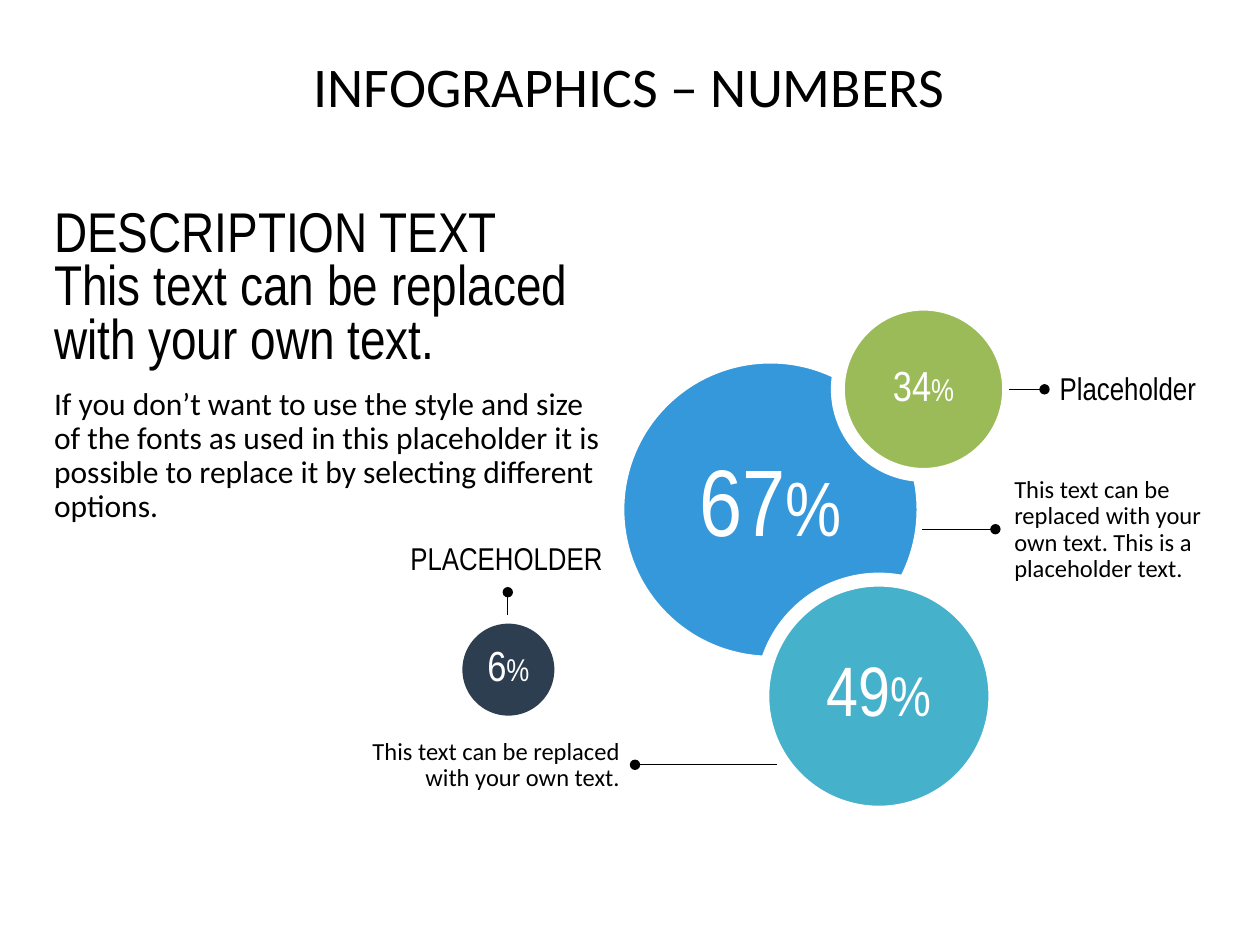
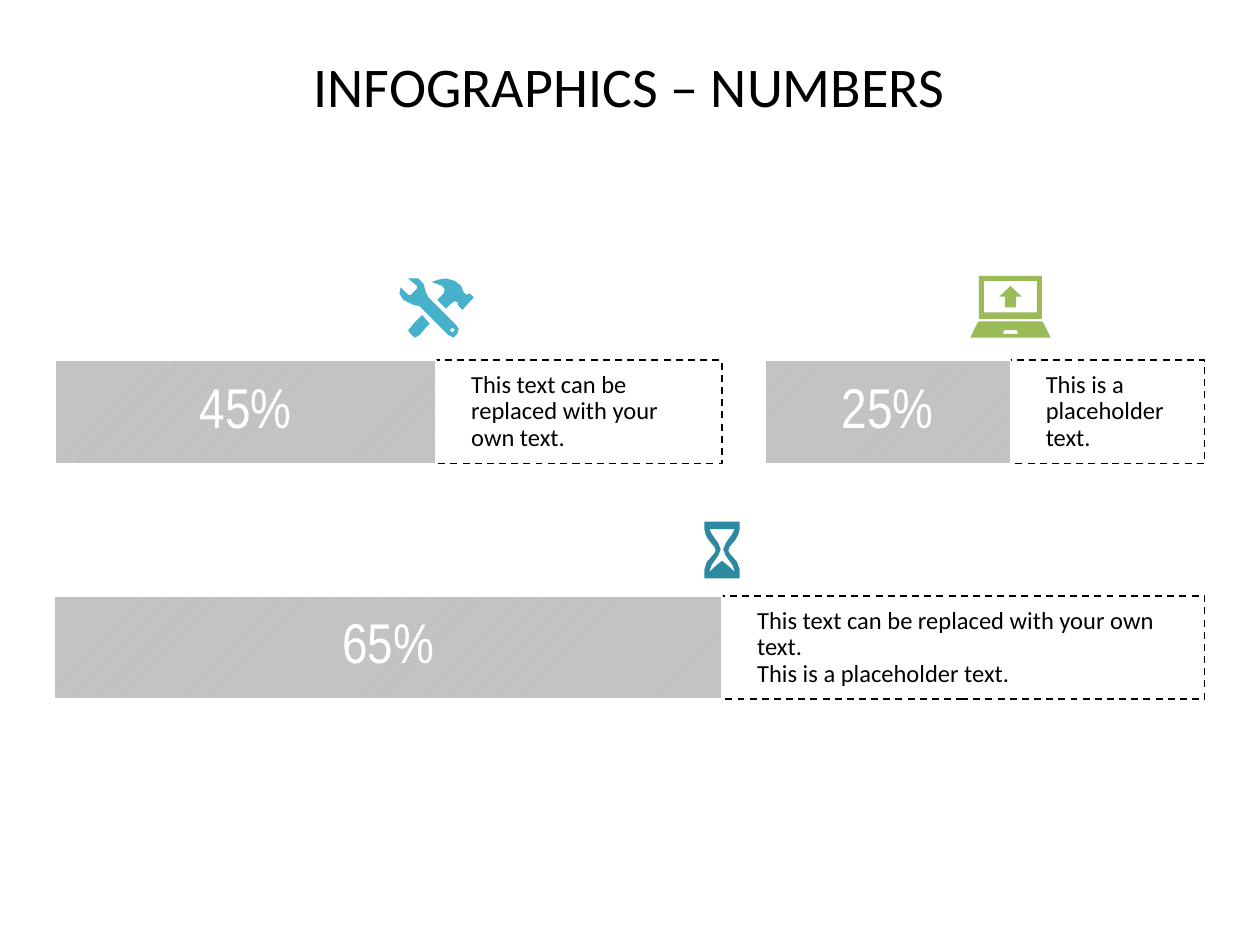
from typing import NamedTuple

from lxml.etree import SubElement
from pptx import Presentation
from pptx.dml.color import RGBColor
from pptx.enum.dml import MSO_LINE, MSO_PATTERN
from pptx.enum.shapes import MSO_CONNECTOR, MSO_SHAPE
from pptx.enum.text import MSO_ANCHOR, PP_ALIGN
from pptx.oxml.ns import qn
from pptx.util import Inches, Pt

# One grid cell is a hundredth of the slide's width, a seventy-fifth of its height.
CELL = Inches(0.1)
COLUMNS, ROWS = 100, 75
LEFT, RIGHT = 4.3, 95.6
BAR_HEIGHT = 8.2
ICON_UNIT = CELL / 10

BLACK, WHITE = "000000", "FFFFFF"
BLUE, GREEN, CYAN, TEAL, NAVY = "3498DB", "9BBB59", "45B1CB", "2D899F", "2C3E50"
HATCH_FRONT, HATCH_BACK = "D9D9D9", "BFBFBF"
HEADING_FONT, BODY_FONT = "Arial Narrow", "Calibri"

Point = tuple[float, float]
Contour = list[Point]


class Box(NamedTuple):
    left: float
    top: float
    width: float
    height: float


class TextStyle(NamedTuple):
    font: str
    size: float
    color: str = BLACK
    align: PP_ALIGN = PP_ALIGN.LEFT
    spacing: float = 0.9
    after: float = 10


class Frame(NamedTuple):
    """Vertical anchor and left, top, right, bottom insets in cells."""
    anchor: MSO_ANCHOR = MSO_ANCHOR.TOP
    insets: tuple[float, float, float, float] = (0, 0, 0, 0)


class Bubble(NamedTuple):
    box: Box
    color: str
    number: str
    number_size: float
    percent_size: float
    outlined: bool = True


class Callout(NamedTuple):
    start: Point
    end: Point
    box: Box
    text: str
    style: TextStyle
    frame: Frame


class Bar(NamedTuple):
    left: float
    split: float
    right: float
    top: float
    value: str
    note: str
    icon: list[Contour]
    icon_color: str


TITLE = TextStyle(BODY_FONT, 32, align=PP_ALIGN.CENTER, after=0)
LEAD = TextStyle(HEADING_FONT, 32, spacing=0.8)
BODY = TextStyle(BODY_FONT, 18)
LABEL = TextStyle(HEADING_FONT, 18)
NOTE = TextStyle(BODY_FONT, 14)
BAR_VALUE = TextStyle(HEADING_FONT, 32, WHITE, PP_ALIGN.CENTER, 0.8, 0)

PLAIN = Frame()
BUBBLE_FRAME = Frame(MSO_ANCHOR.MIDDLE, (0.4, 0.4, 0.4, 0.4))
FROM_LEFT = Frame(MSO_ANCHOR.MIDDLE, (1.2, 0, 0, 0))
FROM_RIGHT = Frame(MSO_ANCHOR.MIDDLE, (0, 0, 1.2, 0))
FROM_BELOW = Frame(MSO_ANCHOR.BOTTOM, (0, 0, 0, 1.2))
BAR_FRAME = Frame(MSO_ANCHOR.MIDDLE, (1, 0.5, 1, 0.5))
NOTE_FRAME = Frame(MSO_ANCHOR.MIDDLE, (2.8, 0, 2.8, 0))


def mirrored(half: Contour) -> Contour:
    """Close a right-hand profile with its reflection in the vertical axis."""
    return half + [(-x, y) for x, y in reversed(half)]


# Icon points are hundredths of an inch from the bar's split and top edge.
TOOLS = [
    [(-28, -58), (-22, -52), (-20, -52), (-15, -57), (-15, -59), (-21, -64),
     (-22, -65), (-14, -65), (-10, -61), (-8, -54), (-6, -50), (16, -28),
     (18, -25), (17, -21), (14, -18), (10, -20), (5, -25), (-13, -43),
     (-18, -44), (-26, -48), (-29, -53)],
    [(15, -24), (13, -26), (11, -24), (13, -22)],
    [(1, -48), (5, -52), (6, -53), (7, -56), (5, -59), (-3, -62), (-4, -62),
     (2, -64), (8, -65), (15, -63), (20, -59), (21, -56), (22, -54), (24, -52),
     (27, -53), (30, -50), (21, -40), (18, -43), (17, -46), (15, -47),
     (12, -45), (8, -41)],
    [(-11, -36), (-5, -29), (-8, -26), (-13, -20), (-17, -18), (-21, -22),
     (-22, -24), (-20, -26), (-18, -29), (-12, -35)],
]
LAPTOP = [mirrored(half) for half in (
    [(25, -31), (26, -30), (32, -18)],
    [(5, -24), (6, -21)],
    [(25, -67), (25, -33)],
    [(21, -63), (21, -38)],
)]
HOURGLASS = [mirrored(half) for half in (
    [(14, -59), (14, -53), (13, -49), (11, -45), (6, -39), (5, -36.5),
     (6, -34), (12, -27), (14, -21), (14, -14)],
    [(10, -53), (8, -49), (3, -42), (1, -37), (3, -32), (8, -25), (10, -20),
     (9, -20), (6, -23), (0, -28)],
)]

BUBBLES = [
    Bubble(Box(49, 28.3, 24.3, 24.3), BLUE, "67", 54, 44),
    Bubble(Box(66.5, 24.1, 13.6, 13.6), GREEN, "34", 24, 18),
    Bubble(Box(60.5, 46, 18.5, 18.5), CYAN, "49", 40, 32),
    Bubble(Box(36.7, 49.5, 7.3, 7.3), NAVY, "6", 24, 18, outlined=False),
]
CALLOUTS = [
    Callout((80.1, 30.9), (82.9, 30.9), Box(82.9, 28.3, 12.7, 5.3),
            "Placeholder", LABEL, FROM_LEFT),
    Callout((73.2, 42), (79, 42), Box(79.3, 38.1, 16.4, 7.9),
            "This text can be replaced with your own text. This is a placeholder text.",
            NOTE, FROM_LEFT),
    Callout((61.7, 60.7), (50.4, 60.7), Box(23, 57.9, 27.4, 5.7),
            "This text can be replaced\nwith your own text.",
            NOTE._replace(align=PP_ALIGN.RIGHT), FROM_RIGHT),
    Callout((40.3, 48.8), (40.3, 47), Box(31.5, 41.9, 17.4, 5.1),
            "PLACEHOLDER", LABEL._replace(align=PP_ALIGN.CENTER), FROM_BELOW),
]
BARS = [
    Bar(60.7, 80.2, RIGHT, 28.6, "25%", "This is a placeholder text.", LAPTOP, GREEN),
    Bar(4.4, 34.6, 57.3, 28.6, "45%",
        "This text can be replaced with your own text.", TOOLS, CYAN),
    Bar(LEFT, 57.3, RIGHT, 47.3, "65%",
        "This text can be replaced with your own text.\nThis is a placeholder text.",
        HOURGLASS, TEAL),
]


def cells(count: float) -> int:
    return round(count * CELL)


def rgb(color: str) -> RGBColor:
    return RGBColor.from_string(color)


def format_run(run, style: TextStyle, size: float) -> None:
    run.font.name = style.font
    run.font.size = Pt(size)
    run.font.color.rgb = rgb(style.color)


def write(shape, entries: list[tuple[str, TextStyle]], frame: Frame = PLAIN) -> None:
    """Fill a shape with one paragraph for each text and style."""
    text_frame = shape.text_frame
    text_frame.word_wrap = True
    text_frame.vertical_anchor = frame.anchor
    (text_frame.margin_left, text_frame.margin_top,
     text_frame.margin_right, text_frame.margin_bottom) = map(cells, frame.insets)
    for index, (text, style) in enumerate(entries):
        paragraph = text_frame.add_paragraph() if index else text_frame.paragraphs[0]
        paragraph.text = text
        paragraph.alignment = style.align
        paragraph.line_spacing = style.spacing
        paragraph.space_after = Pt(style.after)
        for run in paragraph.runs:
            format_run(run, style, style.size)


def add_text(slide, box: Box, entries: list[tuple[str, TextStyle]],
             frame: Frame = PLAIN) -> None:
    write(slide.shapes.add_textbox(*map(cells, box)), entries, frame)


def set_line(shape, color: str | None, width: float = 1) -> None:
    if color is None:
        shape.line.fill.background()
    else:
        shape.line.color.rgb = rgb(color)
        shape.line.width = Pt(width)


def add_block(slide, kind: MSO_SHAPE, box: Box, fill: str | None,
              line: str | None = None, width: float = 1):
    shape = slide.shapes.add_shape(kind, *map(cells, box))
    shape.shadow.inherit = False
    if fill is None:
        shape.fill.background()
    else:
        shape.fill.solid()
        shape.fill.fore_color.rgb = rgb(fill)
    set_line(shape, line, width)
    return shape


def add_bubble(slide, bubble: Bubble) -> None:
    shape = add_block(slide, MSO_SHAPE.OVAL, bubble.box, bubble.color,
                      WHITE if bubble.outlined else None, 8)
    style = TextStyle(HEADING_FONT, bubble.number_size, WHITE, PP_ALIGN.CENTER, 0.8)
    write(shape, [(bubble.number, style)], BUBBLE_FRAME)
    percent = shape.text_frame.paragraphs[0].add_run()
    percent.text = "%"
    format_run(percent, style, bubble.percent_size)


def add_callout(slide, callout: Callout) -> None:
    connector = slide.shapes.add_connector(
        MSO_CONNECTOR.STRAIGHT, *map(cells, callout.start + callout.end))
    set_line(connector, BLACK, 0.5)
    SubElement(connector.line._get_or_add_ln(), qn("a:tailEnd"), type="oval")
    SubElement(connector._element.spPr, qn("a:effectLst"))
    add_text(slide, callout.box, [(callout.text, callout.style)], callout.frame)


def add_icon(slide, contours: list[Contour], color: str, split: float, top: float) -> None:
    first, *others = contours
    builder = slide.shapes.build_freeform(*first[0], scale=ICON_UNIT)
    builder.add_line_segments(first[1:], close=True)
    for contour in others:
        builder.move_to(*contour[0])
        builder.add_line_segments(contour[1:], close=True)
    shape = builder.convert_to_shape(cells(split), cells(top))
    shape.shadow.inherit = False
    shape.fill.solid()
    shape.fill.fore_color.rgb = rgb(color)
    set_line(shape, None)


def add_bar(slide, bar: Bar) -> None:
    note_box = Box(bar.split, bar.top, bar.right - bar.split, BAR_HEIGHT)
    note = add_block(slide, MSO_SHAPE.RECTANGLE, note_box, None, BLACK)
    note.line.dash_style = MSO_LINE.DASH
    write(note, [(bar.note, NOTE)], NOTE_FRAME)

    value_box = Box(bar.left, bar.top, bar.split - bar.left, BAR_HEIGHT)
    value = add_block(slide, MSO_SHAPE.RECTANGLE, value_box, HATCH_BACK, WHITE)
    value.fill.patterned()
    value.fill.pattern = MSO_PATTERN.LIGHT_UPWARD_DIAGONAL
    value.fill.fore_color.rgb = rgb(HATCH_FRONT)
    value.fill.back_color.rgb = rgb(HATCH_BACK)
    write(value, [(bar.value, BAR_VALUE)], BAR_FRAME)

    add_icon(slide, bar.icon, bar.icon_color, bar.split, bar.top)
    if bar.icon is LAPTOP:
        arrow_box = Box(bar.split - 0.9, bar.top - 5.9, 1.8, 1.7)
        add_block(slide, MSO_SHAPE.UP_ARROW, arrow_box, bar.icon_color)


def add_titled_slide(presentation):
    slide = presentation.slides.add_slide(presentation.slide_layouts[6])
    add_text(slide, Box(LEFT, 4.7, RIGHT - LEFT, 11.8), [("INFOGRAPHICS – NUMBERS", TITLE)])
    return slide


def build_bubble_slide(presentation) -> None:
    slide = add_titled_slide(presentation)
    add_text(slide, Box(LEFT, 16.6, 49, 47), [
        ("DESCRIPTION TEXT\nThis text can be replaced\nwith your own text.", LEAD),
        ("If you don’t want to use the style and size\nof the fonts as used in this "
         "placeholder it is possible to replace it by selecting different options.", BODY),
    ])
    for bubble in BUBBLES:
        add_bubble(slide, bubble)
    for callout in CALLOUTS:
        add_callout(slide, callout)


def build_bar_slide(presentation) -> None:
    slide = add_titled_slide(presentation)
    for bar in BARS:
        add_bar(slide, bar)


def main() -> None:
    presentation = Presentation()
    presentation.slide_width = cells(COLUMNS)
    presentation.slide_height = cells(ROWS)
    build_bubble_slide(presentation)
    build_bar_slide(presentation)
    presentation.save("out.pptx")


if __name__ == "__main__":
    main()
